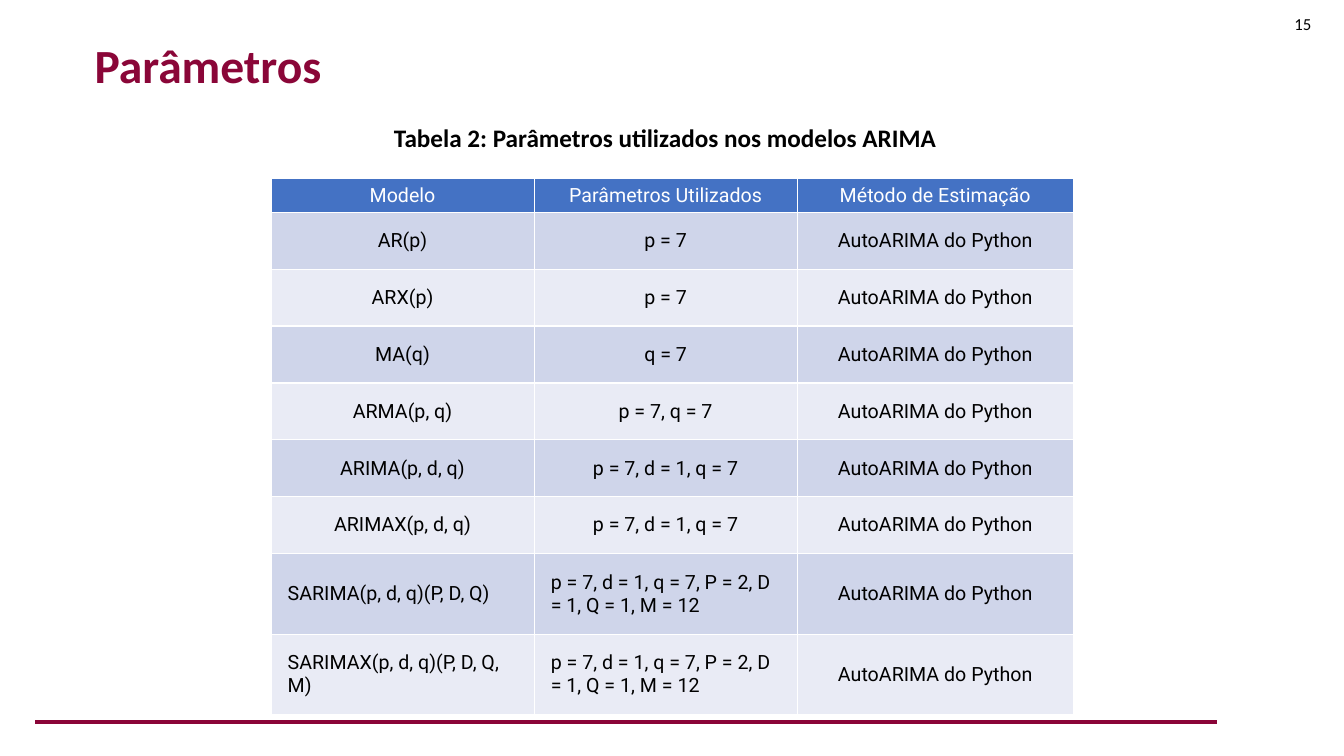
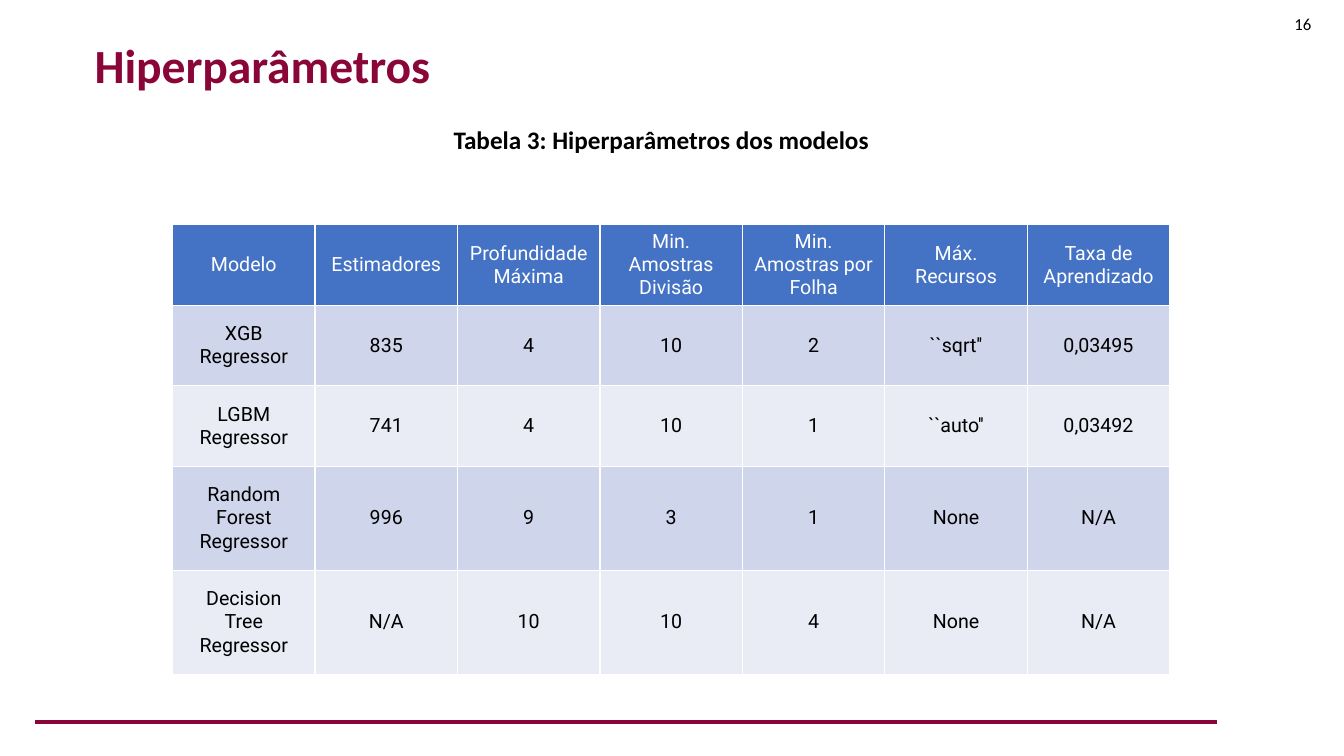
"""Build two slides that list model parameters and hyperparameters in tables."""
from lxml import etree
from pptx import Presentation
from pptx import util as u
from pptx.dml.color import RGBColor
from pptx.enum import shapes, text
from pptx.oxml.ns import qn


class Theme:
    wine = RGBColor.from_string("8A0638")
    rule = RGBColor.from_string("8A0538")
    black = RGBColor.from_string("000000")
    white = RGBColor.from_string("FFFFFF")
    header = RGBColor.from_string("4472C4")
    bands = (RGBColor.from_string("CFD5EA"), RGBColor.from_string("E9EBF5"))
    heading_font = "Calibri"
    table_font = "Roboto"
    title_size = 34
    caption_size = 18
    table_size = 14
    page_size = 12
    cell_margin = u.Cm(0.42)


def write(frame, words, font=Theme.heading_font, size=Theme.caption_size, color=Theme.black,
          bold=False, align=text.PP_ALIGN.LEFT, spacing=None):
    frame.word_wrap = True
    paragraph = frame.paragraphs[0]
    paragraph.alignment = align
    if spacing:
        paragraph.line_spacing = spacing
    run = paragraph.add_run()
    run.text = words
    run.font.name = font
    run.font.size = u.Pt(size)
    run.font.color.rgb = color
    run.font.bold = bold


estimation = "AutoARIMA do Python"
seasonal = "p = 7, d = 1, q = 7, P = 2, D = 1, Q = 1, M = 12"
pages = [
    dict(
        number="15", title="Parâmetros",
        caption="Tabela 2: Parâmetros utilizados nos modelos ARIMA",
        caption_box=(9.68, 2.97, 14.5, 1.02), origin=(6.83, 4.5),
        widths=[6.63, 6.63, 6.96],
        heights=[0.83] + [1.43] * 6 + [2.01] * 2,
        left_aligned={(row, column) for row in (7, 8) for column in (0, 1)},
        rows=[
            ("Modelo", "Parâmetros Utilizados", "Método de Estimação"),
            ("AR(p)", "p = 7", estimation),
            ("ARX(p)", "p = 7", estimation),
            ("MA(q)", "q = 7", estimation),
            ("ARMA(p, q)", "p = 7, q = 7", estimation),
            ("ARIMA(p, d, q)", "p = 7, d = 1, q = 7", estimation),
            ("ARIMAX(p, d, q)", "p = 7, d = 1, q = 7", estimation),
            ("SARIMA(p, d, q)(P, D, Q)", seasonal, estimation),
            ("SARIMAX(p, d, q)(P, D, Q, M)", seasonal, estimation),
        ],
    ),
    dict(
        number="16", title="Hiperparâmetros",
        caption="Tabela 3: Hiperparâmetros dos modelos",
        caption_box=(11.18, 3, 11.53, 1.02), origin=(4.35, 5.66),
        widths=[3.59] * 7,
        heights=[2.01] * 3 + [2.6] * 2,
        left_aligned=set(),
        rows=[
            ("Modelo", "Estimadores", "Profundidade Máxima", "Min. Amostras Divisão",
             "Min. Amostras por Folha", "Máx. Recursos", "Taxa de Aprendizado"),
            ("XGB Regressor", "835", "4", "10", "2", "``sqrt''", "0,03495"),
            ("LGBM Regressor", "741", "4", "10", "1", "``auto''", "0,03492"),
            ("Random Forest Regressor", "996", "9", "3", "1", "None", "N/A"),
            ("Decision Tree Regressor", "N/A", "10", "10", "4", "None", "N/A"),
        ],
    ),
]

deck = Presentation()
deck.slide_width, deck.slide_height = u.Cm(33.87), u.Cm(19.05)
title_only = deck.slide_layouts[5]

for page in pages:
    slide = deck.slides.add_slide(title_only)

    rule = slide.shapes.add_connector(
        shapes.MSO_CONNECTOR.STRAIGHT, u.Cm(0.89), u.Cm(18.19), u.Cm(30.66), u.Cm(18.19))
    rule.line.color.rgb = Theme.rule
    rule.line.width = u.Pt(3)
    etree.SubElement(rule._element.spPr, qn("a:effectLst"))

    title = slide.shapes.title
    title.left, title.top, title.width, title.height = u.Cm(2.13), u.Cm(0), u.Cm(28.8), u.Cm(2.46)
    title.text_frame.auto_size = text.MSO_AUTO_SIZE.NONE
    title.text_frame.vertical_anchor = text.MSO_ANCHOR.BOTTOM
    write(title.text_frame, page["title"], size=Theme.title_size, color=Theme.wine,
          bold=True, spacing=0.8)

    number = slide.shapes.add_textbox(u.Cm(25.68), u.Cm(0.1), u.Cm(7.62), u.Cm(1.02))
    number.text_frame.vertical_anchor = text.MSO_ANCHOR.MIDDLE
    write(number.text_frame, page["number"], size=Theme.page_size, align=text.PP_ALIGN.RIGHT)

    caption = slide.shapes.add_textbox(*map(u.Cm, page["caption_box"]))
    write(caption.text_frame, page["caption"], bold=True)

    widths, heights = page["widths"], page["heights"]
    models = slide.shapes.add_table(
        len(heights), len(widths), *map(u.Cm, page["origin"]),
        u.Cm(sum(widths)), u.Cm(sum(heights))).table
    for column, width in zip(models.columns, widths):
        column.width = u.Cm(width)
    for r, (values, height) in enumerate(zip(page["rows"], heights)):
        models.rows[r].height = u.Cm(height)
        for c, value in enumerate(values):
            cell = models.cell(r, c)
            cell.vertical_anchor = text.MSO_ANCHOR.MIDDLE
            cell.fill.solid()
            cell.fill.fore_color.rgb = Theme.bands[(r - 1) % 2] if r else Theme.header
            if r:
                cell.margin_left = cell.margin_right = Theme.cell_margin
                cell.margin_top = cell.margin_bottom = Theme.cell_margin
            write(cell.text_frame, value, font=Theme.table_font, size=Theme.table_size,
                  color=Theme.black if r else Theme.white,
                  align=text.PP_ALIGN.LEFT if (r, c) in page["left_aligned"]
                  else text.PP_ALIGN.CENTER)

deck.save("out.pptx")
